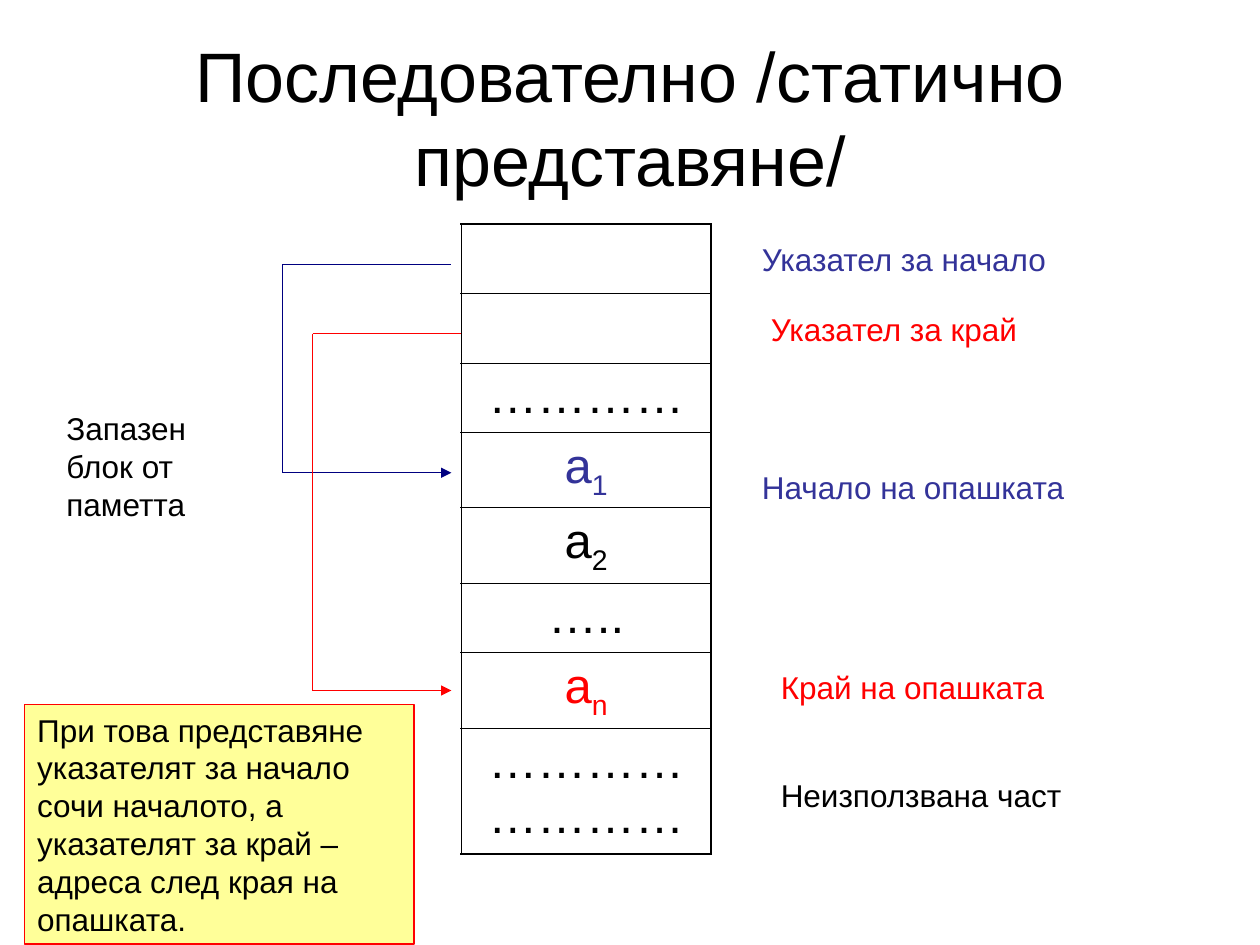
from dataclasses import dataclass

from lxml.etree import SubElement
from pptx import Presentation
from pptx.dml.color import RGBColor
from pptx.enum.shapes import MSO_CONNECTOR, MSO_SHAPE
from pptx.enum.text import MSO_ANCHOR, MSO_AUTO_SIZE, PP_ALIGN
from pptx.oxml.ns import qn
from pptx.util import Cm, Pt


@dataclass(frozen=True)
class Theme:
    font: str = "Arial"
    black: str = "000000"
    blue: str = "333399"
    navy: str = "000080"
    red: str = "FF0000"
    yellow: str = "FFFF99"
    title: int = 40
    cell: int = 28
    label: int = 18
    line: float = 0.75
    outer: float = 1.08
    inner: float = 0.45


THEME = Theme()

# Table rows: height, text, subscript, colour
ROWS = [
    (1.4, "", "", THEME.black),
    (1.4, "", "", THEME.black),
    (1.4, "…………", "", THEME.black),
    (1.52, "а", "1", THEME.blue),
    (1.52, "a", "2", THEME.black),
    (1.4, "…..", "", THEME.black),
    (1.52, "a", "n", THEME.red),
    (2.54, "…………" * 2, "", THEME.black),
]

# Labels right of the table: left, top, width, text, colour
LABELS = [
    (15.11, 4.72, 6.3, "Указател за начало", THEME.blue),
    (15.29, 6.12, 5.54, "Указател за край", THEME.red),
    (15.11, 9.32, 6.6, "Начало на опашката", THEME.blue),
    (15.49, 13.34, 5.82, "Край на опашката", THEME.red),
    (15.49, 15.52, 6.17, "Неизползвана част", THEME.black),
]


def rgb(color):
    return RGBColor.from_string(color)


def style(p, size, color, align=PP_ALIGN.LEFT):
    p.alignment = align
    p.font.name = THEME.font
    p.font.size = Pt(size)
    p.font.color.rgb = rgb(color)


def add_title(s, text):
    sp = s.shapes.title
    sp.left, sp.top, sp.width, sp.height = Cm(1.27), Cm(0.76), Cm(22.86), Cm(3.18)
    tf = sp.text_frame
    tf.text = text
    tf.auto_size = MSO_AUTO_SIZE.NONE
    tf.vertical_anchor = MSO_ANCHOR.MIDDLE
    style(tf.paragraphs[0], THEME.title, THEME.black, PP_ALIGN.CENTER)


def write_text(sp, text, color, wrap):
    tf = sp.text_frame
    tf.text = text
    tf.word_wrap = wrap
    tf.auto_size = MSO_AUTO_SIZE.SHAPE_TO_FIT_TEXT
    tf.vertical_anchor = MSO_ANCHOR.TOP
    style(tf.paragraphs[0], THEME.label, color)


def add_label(s, left, top, width, text, color, height=1.02, wrap=False):
    sp = s.shapes.add_textbox(Cm(left), Cm(top), Cm(width), Cm(height))
    write_text(sp, text, color, wrap)


def add_note(s, left, top, width, height, text):
    sp = s.shapes.add_shape(
        MSO_SHAPE.RECTANGLE, Cm(left), Cm(top), Cm(width), Cm(height))
    sp.shadow.inherit = False
    sp.fill.solid()
    sp.fill.fore_color.rgb = rgb(THEME.yellow)
    sp.line.color.rgb = rgb(THEME.red)
    sp.line.width = Pt(THEME.line)
    write_text(sp, text, THEME.black, True)


def set_border(cell, side, width):
    tc_pr = cell._tc.get_or_add_tcPr()
    ln = SubElement(tc_pr, qn(f"a:ln{side}"), w=str(int(Pt(width))))
    fill = SubElement(ln, qn("a:solidFill"))
    SubElement(fill, qn("a:srgbClr"), val=THEME.black)


def add_memory_table(s, left, top, width):
    height = sum(row[0] for row in ROWS)
    table = s.shapes.add_table(
        len(ROWS), 1, Cm(left), Cm(top), Cm(width), Cm(height)).table
    table.first_row = table.horz_banding = False
    last = len(ROWS) - 1
    for i, (row_height, text, sub, color) in enumerate(ROWS):
        table.rows[i].height = Cm(row_height)
        cell = table.cell(i, 0)
        p = cell.text_frame.paragraphs[0]
        style(p, THEME.cell, color, PP_ALIGN.CENTER)
        p.space_before = Pt(7)
        if text:
            p.add_run().text = text
        if sub:
            r = p.add_run()
            r.text = sub
            r.font._element.set("baseline", "-25000")
        set_border(cell, "L", THEME.outer)
        set_border(cell, "R", THEME.outer)
        set_border(cell, "T", THEME.outer if i == 0 else THEME.inner)
        set_border(cell, "B", THEME.outer if i == last else THEME.inner)
        cell.fill.background()


def add_line(group, start, end, color, arrow=False):
    line = group.shapes.add_connector(
        MSO_CONNECTOR.STRAIGHT, *(Cm(v) for v in start + end))
    line.line.color.rgb = rgb(color)
    line.line.width = Pt(THEME.line)
    if arrow:
        SubElement(line.line._get_or_add_ln(), qn("a:tailEnd"), type="triangle")
    SubElement(line._element.spPr, qn("a:effectLst"))


def add_pointer(s, x, top, bottom, start_x, tip_x, color):
    """Bracket from the pointer cell to the element it points at."""
    group = s.shapes.add_group_shape()
    add_line(group, (x, top), (x, bottom), color)
    add_line(group, (x, bottom), (tip_x, bottom), color, arrow=True)
    add_line(group, (x, top), (start_x, top), color)


def main():
    prs = Presentation()
    prs.slide_width, prs.slide_height = Cm(25.4), Cm(19.05)
    s = prs.slides.add_slide(prs.slide_layouts[5])

    # Title and memory block
    add_title(s, "Последователно /статично представяне/")
    add_memory_table(s, 9.3, 4.52, 5.03)

    # Labels on both sides
    for label in LABELS:
        add_label(s, *label)
    add_label(s, 1.09, 8.13, 3.99, "Запазен блок от паметта",
              THEME.black, height=2.54, wrap=True)

    # Explanation
    add_note(s, 0.5, 14.2, 7.85, 4.83,
             "При това представяне указателят за начало сочи началото, "
             "а указателят за край – адреса след края на опашката.")

    # Pointers to the head and the tail of the queue
    add_pointer(s, 5.69, 5.33, 9.53, 9.1, 9.1, THEME.navy)
    add_pointer(s, 6.3, 6.73, 13.92, 9.3, 9.1, THEME.red)

    prs.save("out.pptx")


if __name__ == "__main__":
    main()
